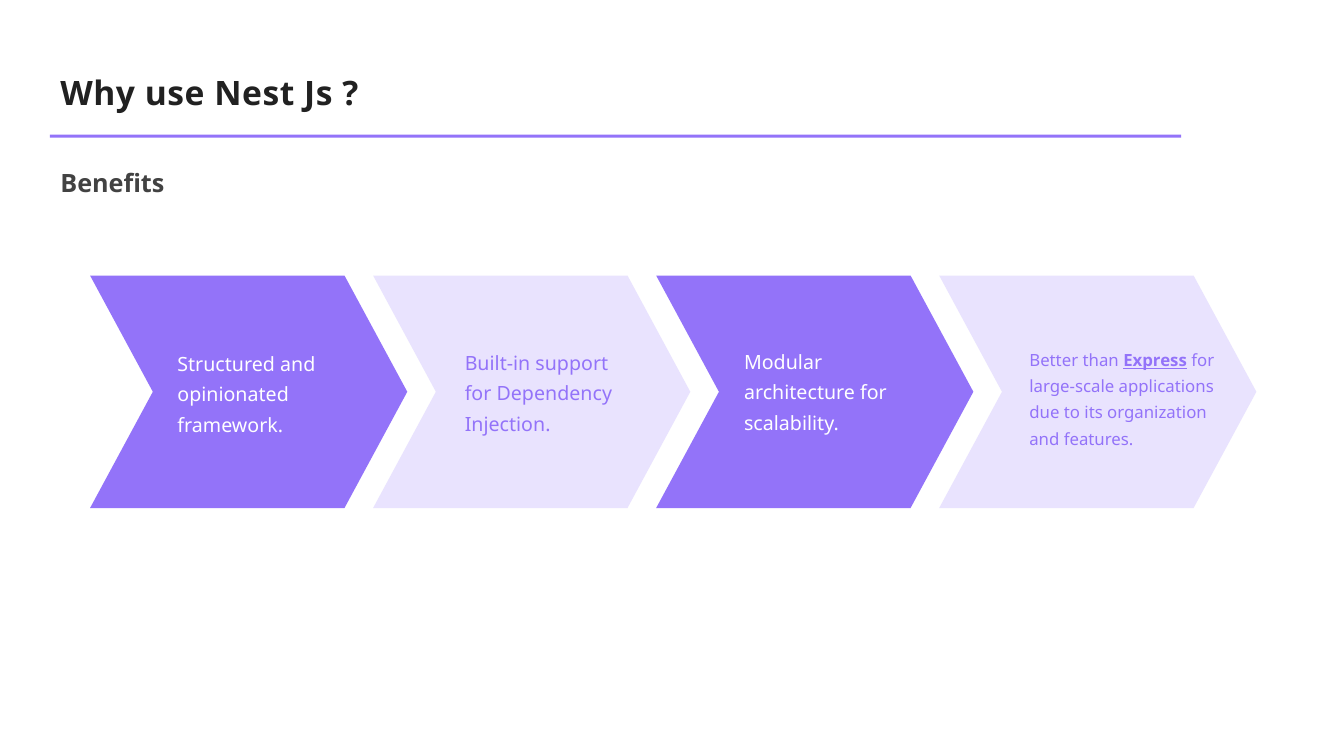
from dataclasses import dataclass

from pptx import Presentation
from pptx.dml.color import RGBColor
from pptx.enum.shapes import MSO_SHAPE
from pptx.enum.text import MSO_ANCHOR
from pptx.util import Inches, Pt

VIOLET = RGBColor(0x93, 0x73, 0xF9)
LILAC = RGBColor(0xE9, 0xE3, 0xFE)
WHITE = RGBColor(0xFF, 0xFF, 0xFF)
BLACK = RGBColor(0x21, 0x21, 0x21)
GRAY = RGBColor(0x42, 0x42, 0x42)

WIDTH = Inches(13.33)
HEIGHT = Inches(7.5)
COL = WIDTH / 100
ROW = HEIGHT / 100


@dataclass(frozen=True)
class Box:
    left: float
    top: float
    width: float
    height: float

    def place(self) -> tuple[int, int, int, int]:
        return (round(self.left * COL), round(self.top * ROW),
                round(self.width * COL), round(self.height * ROW))


@dataclass(frozen=True)
class Step:
    words: tuple[str, ...]
    box: Box
    fill: RGBColor
    ink: RGBColor
    size: int = 14


STEPS = (
    Step(("Structured and opinionated framework.",),
         Box(13.2, 45.6, 12.68, 16.4), VIOLET, WHITE),
    Step(("Built-in support for Dependency Injection.",),
         Box(34.58, 45.47, 12.23, 16.4), LILAC, VIOLET),
    Step(("Modular architecture for scalability.",),
         Box(55.36, 45.33, 12.45, 16.4), VIOLET, WHITE),
    Step(("Better than ", "Express",
          " for large-scale applications due to its organization and features."),
         Box(76.59, 45.47, 15.08, 16.4), LILAC, VIOLET, 12),
)
FIRST = Box(6.7, 36.45, 23.6, 30.75)
PITCH = 21.06
NOTCH = 0.27


def add_text(slide, box: Box, *words: str, size: int, color: RGBColor,
             font: str = "Noto Sans", bold: bool = False, inset: float = 0,
             anchor: MSO_ANCHOR = MSO_ANCHOR.TOP, leading: float = 1.0,
             track: int = 0) -> None:
    frame = slide.shapes.add_textbox(*box.place()).text_frame
    frame.word_wrap = True
    frame.vertical_anchor = anchor
    frame.margin_left = frame.margin_right = Inches(inset)
    frame.margin_top = frame.margin_bottom = Inches(inset / 2)
    line = frame.paragraphs[0]
    line.line_spacing = leading
    for index, word in enumerate(words):
        run = line.add_run()
        run.text = word
        run.font.name = font
        run.font.size = Pt(size)
        run.font.color.rgb = color
        strong = index % 2 == 1
        run.font.bold = bold or strong
        run.font.underline = strong
        if track:
            run.font._element.set("spc", str(track))


def add_block(slide, kind: MSO_SHAPE, box: Box, fill: RGBColor):
    shape = slide.shapes.add_shape(kind, *box.place())
    shape.shadow.inherit = False
    shape.fill.solid()
    shape.fill.fore_color.rgb = fill
    shape.line.fill.background()
    return shape


def add_step(slide, index: int, step: Step) -> None:
    box = Box(FIRST.left + index * PITCH, FIRST.top, FIRST.width, FIRST.height)
    arrow = add_block(slide, MSO_SHAPE.CHEVRON, box, step.fill)
    arrow.adjustments[0] = NOTCH
    add_text(slide, step.box, *step.words, size=step.size, color=step.ink,
             leading=1.3)


def main() -> None:
    deck = Presentation()
    deck.slide_width = WIDTH
    deck.slide_height = HEIGHT
    slide = deck.slides.add_slide(deck.slide_layouts[6])
    slide.background.fill.solid()
    slide.background.fill.fore_color.rgb = WHITE
    add_text(slide, Box(3.75, 6.27, 84.47, 11.73), "Why use Nest Js ?",
             size=24, color=BLACK, bold=True, inset=0.1,
             anchor=MSO_ANCHOR.MIDDLE, track=40)
    add_text(slide, Box(3.75, 21.47, 92.57, 5.73), "Benefits", size=18,
             color=GRAY, font="Open Sans", bold=True, inset=0.1,
             anchor=MSO_ANCHOR.MIDDLE, leading=0.9)
    add_block(slide, MSO_SHAPE.RECTANGLE, Box(3.71, 17.8, 84.17, 0.4), VIOLET)
    for index, step in enumerate(STEPS):
        add_step(slide, index, step)
    deck.save("out.pptx")


if __name__ == "__main__":
    main()
